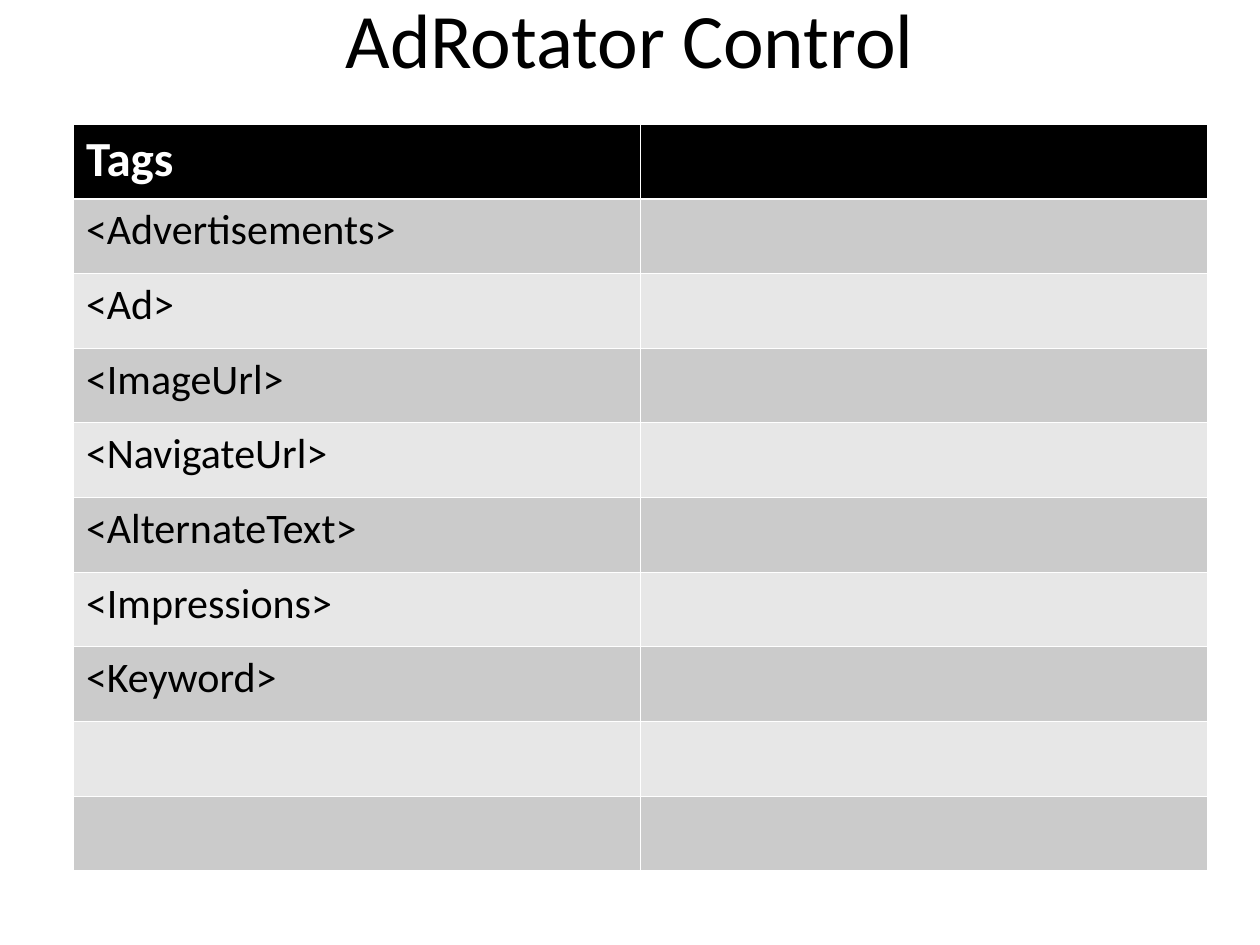
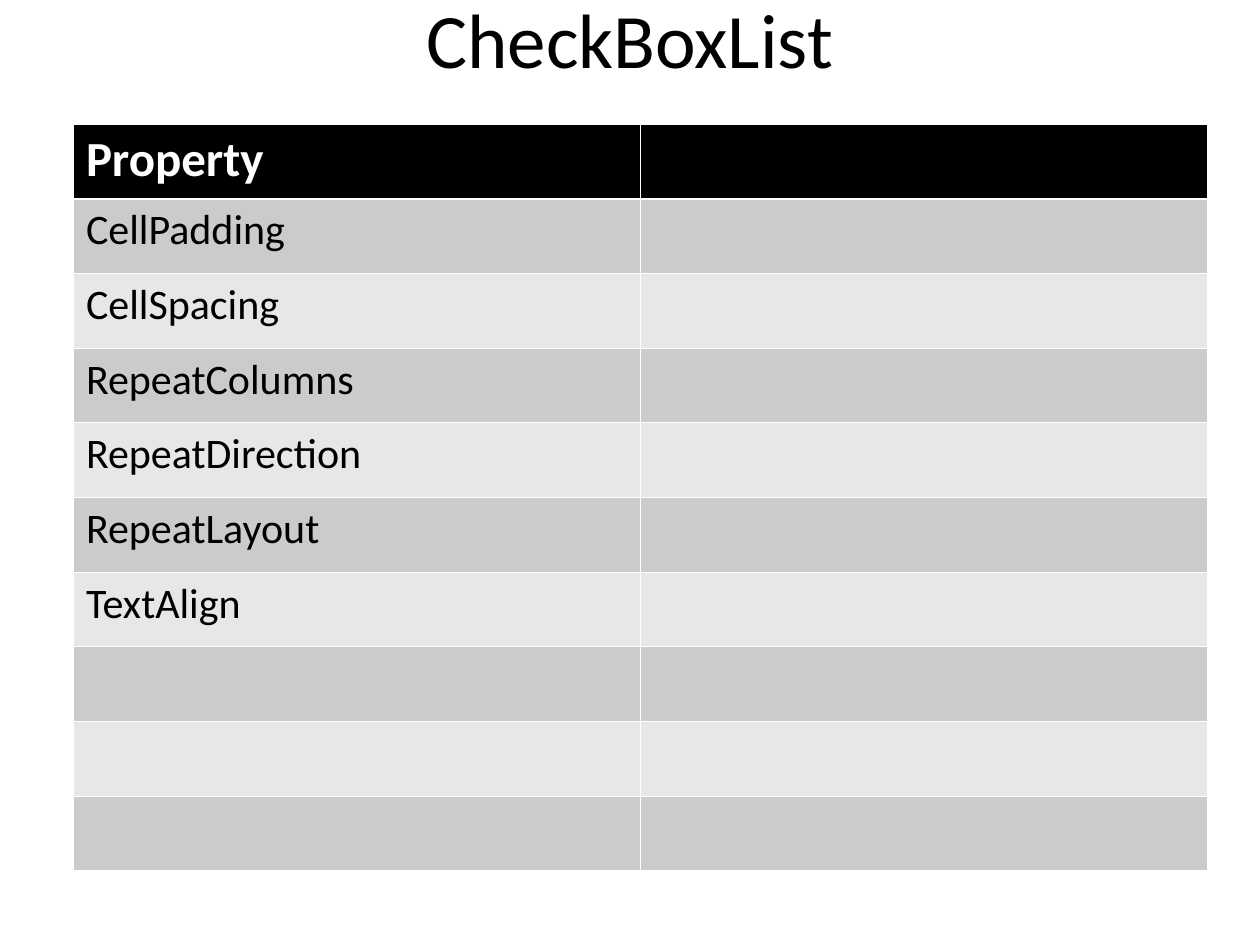
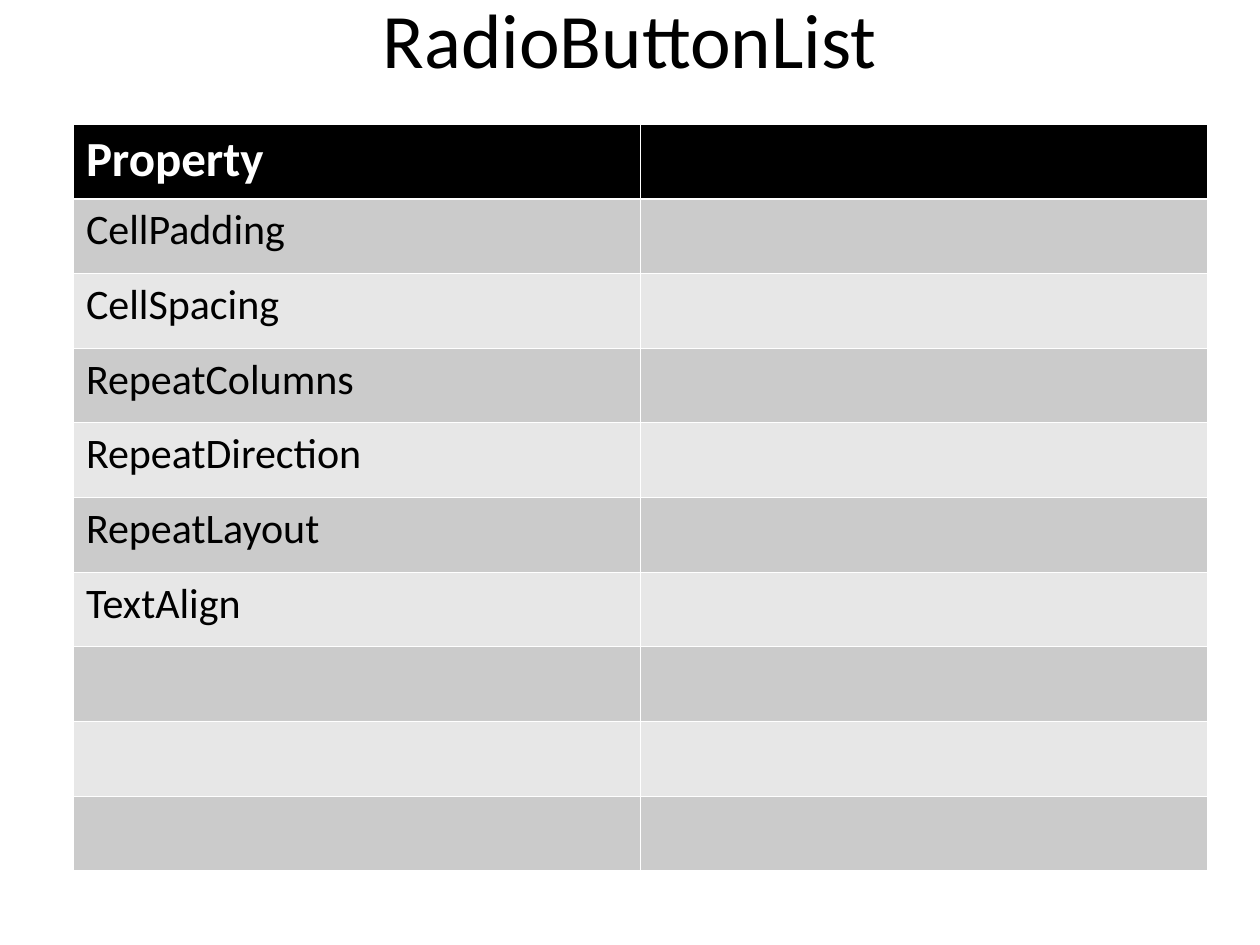
from lxml import etree
from pptx import Presentation
from pptx import util as u
from pptx.dml.color import RGBColor
from pptx.enum import text
from pptx.oxml import ns

BLACK, WHITE = "000000", "FFFFFF"
BANDS = ["CBCBCB", "E7E7E7"]
THIN, THICK = 0.45, 1.47
TABLE_ROWS, TABLE_COLUMNS = 10, 2
TITLE_FORMAT = {"name": "Calibri", "size": u.Pt(44), "bold": False}
HEADER_FORMAT = {"name": "Calibri", "size": u.Pt(28), "bold": True}
BODY_FORMAT = {"name": "Calibri", "size": u.Pt(24), "bold": False}

LIST_PROPERTIES = ["Property", "CellPadding", "CellSpacing", "RepeatColumns",
                   "RepeatDirection", "RepeatLayout", "TextAlign"]
CONTROLS = {
    "AdRotator Control": ["Tags", "<Advertisements>", "<Ad>", "<ImageUrl>", "<NavigateUrl>",
                          "<AlternateText>", "<Impressions>", "<Keyword>"],
    "CheckBoxList": LIST_PROPERTIES,
    "RadioButtonList": LIST_PROPERTIES,
}


def color(value):
    """Turn a hex string into a colour."""
    return RGBColor.from_string(value)


class Deck:
    """Hold the presentation style and the current slide."""

    def __init__(self):
        """Start an empty presentation of 4:3 slides."""
        self.presentation = Presentation()
        self.presentation.slide_width = u.Cm(25.4)
        self.presentation.slide_height = u.Cm(19.05)
        self.slide = None

    def add_slide(self):
        """Open a new white slide with a title."""
        self.slide = self.presentation.slides.add_slide(self.presentation.slide_layouts[5])
        fill = self.slide.background.fill
        fill.solid()
        fill.fore_color.rgb = color(WHITE)

    def add_words(self, paragraph, words, values, shade):
        """Put formatted words in a paragraph."""
        run = paragraph.add_run()
        run.text = words
        for name, value in values.items():
            setattr(run.font, name, value)
        run.font.color.rgb = color(shade)

    def title(self, words):
        """Place the slide title."""
        shape = self.slide.shapes.title
        box = {"left": u.Cm(1.27), "top": u.Cm(-0.84), "width": u.Cm(22.86), "height": u.Cm(3.18)}
        for name, value in box.items():
            setattr(shape, name, value)
        frame = shape.text_frame
        frame.auto_size = text.MSO_AUTO_SIZE.NONE
        frame.vertical_anchor = text.MSO_ANCHOR.MIDDLE
        paragraph = frame.paragraphs[0]
        paragraph.alignment = text.PP_ALIGN.CENTER
        self.add_words(paragraph, words, TITLE_FORMAT, BLACK)

    def borders(self, cell, row):
        """Draw white cell borders, thicker below the header row."""
        widths = {"L": THIN, "R": THIN,
                  "T": THICK if row == 1 else THIN,
                  "B": THICK if row == 0 else THIN}
        properties = cell._tc.get_or_add_tcPr()
        for side, width in widths.items():
            line = etree.SubElement(properties, ns.qn(f"a:ln{side}"), w=str(u.Pt(width)))
            fill = etree.SubElement(line, ns.qn("a:solidFill"))
            etree.SubElement(fill, ns.qn("a:srgbClr"), val=WHITE)

    def table(self, entries):
        """Add a banded table whose first column lists the entries."""
        table = self.slide.shapes.add_table(TABLE_ROWS, TABLE_COLUMNS, u.Cm(1.48), u.Cm(2.5),
                                            u.Cm(22.86), u.Cm(15.05)).table
        for row in range(TABLE_ROWS):
            for column in range(TABLE_COLUMNS):
                cell = table.cell(row, column)
                self.borders(cell, row)
                cell.fill.solid()
                cell.fill.fore_color.rgb = color(BANDS[(row - 1) % 2] if row else BLACK)
        for row, entry in enumerate(entries):
            paragraph = table.cell(row, 0).text_frame.paragraphs[0]
            self.add_words(paragraph, entry, BODY_FORMAT if row else HEADER_FORMAT,
                           BLACK if row else WHITE)


def main():
    """Build one slide per control and save the presentation."""
    deck = Deck()
    for control, entries in CONTROLS.items():
        deck.add_slide()
        deck.title(control)
        deck.table(entries)
    deck.presentation.save("out.pptx")


if __name__ == "__main__":
    main()
